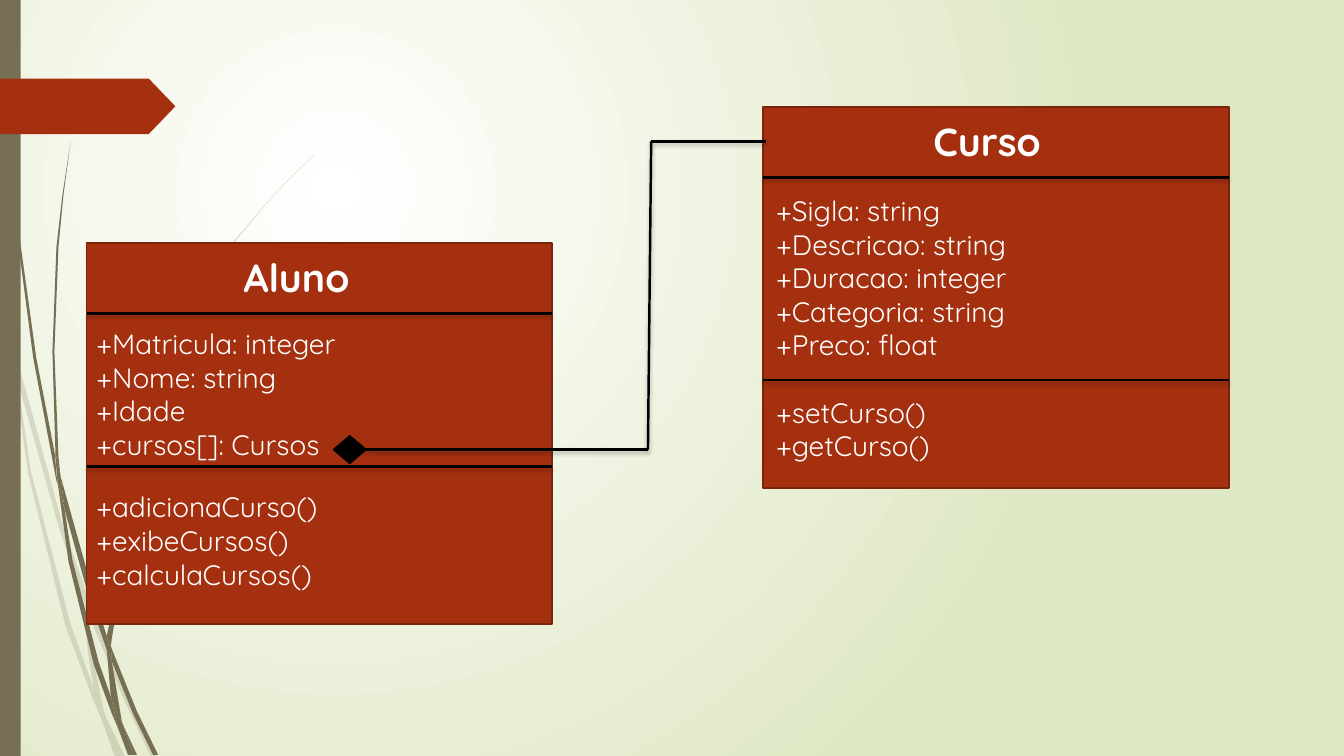
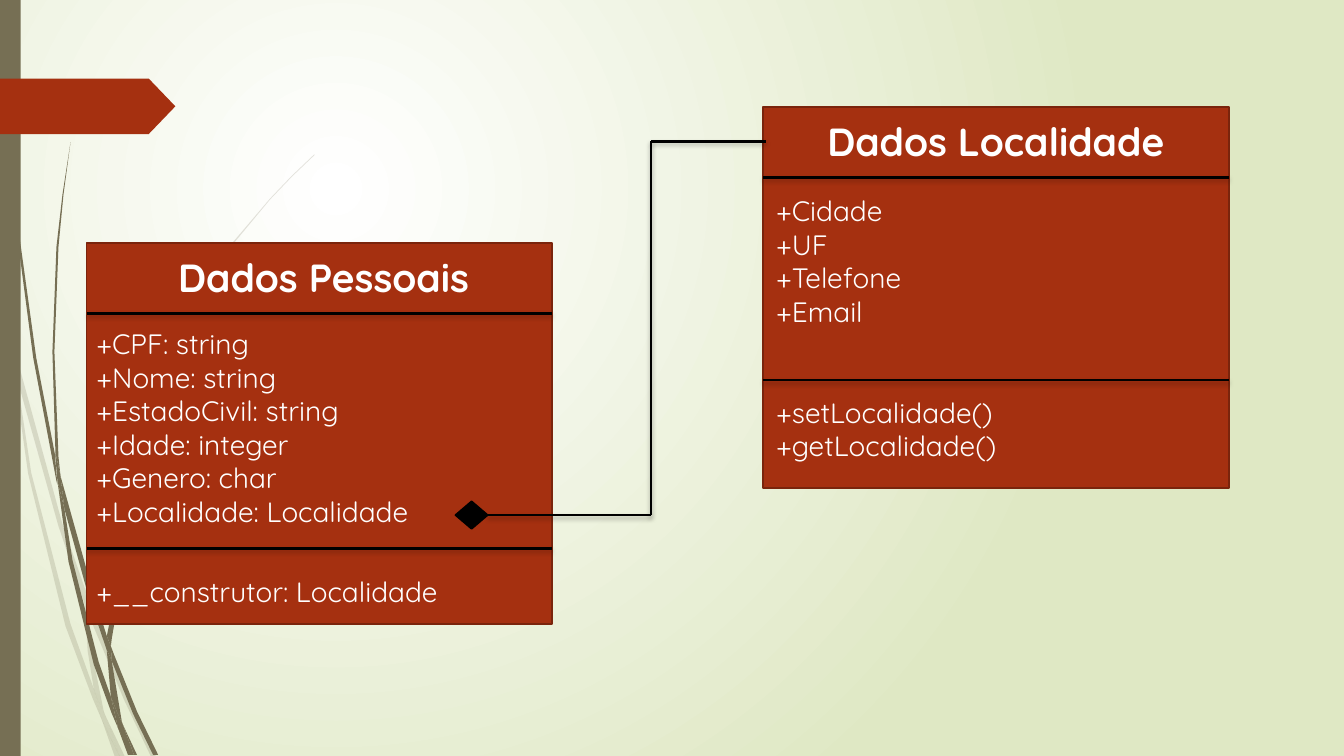
from pptx import Presentation
from pptx.dml.color import RGBColor
from pptx.enum.shapes import MSO_CONNECTOR, MSO_SHAPE
from pptx.oxml import parse_xml
from pptx.oxml.ns import nsdecls, qn
from pptx.util import Cm, Pt

RECTANGLE, PENTAGON, DIAMOND = MSO_SHAPE.RECTANGLE, MSO_SHAPE.PENTAGON, MSO_SHAPE.DIAMOND
STRAIGHT = MSO_CONNECTOR.STRAIGHT

FONT = "Quicksand"
OLIVE, RUST, DARK_RUST = "766F54", "A53010", "7A240C"
BLACK, WHITE, PALE_GREEN = "000000", "FFFFFF", "DFE8C4"

BOX_WIDTH, BOX_HEIGHT = 11.74, 9.6
TITLE_RULE = 1.78
DIAMOND_WIDTH, DIAMOND_HEIGHT = 0.81, 0.69

# Grass outlines, in hundredths of an inch
FAINT_GRASS = [
    [(11, 350), (9, 322), (0, 282), (0, 299), (10, 344)],
    [(58, 522), (84, 599), (85, 586), (62, 520), (14, 345), (17, 376)],
    [(92, 607), (88, 596), (88, 610), (123, 694), (150, 751), (155, 751), (127, 692)],
    [(119, 751), (124, 751), (105, 711)],
    [(93, 683), (70, 619), (31, 469), (17, 376), (11, 350), (28, 470), (65, 621),
     (92, 693), (101, 714), (99, 707)],
    [(84, 599), (87, 646), (93, 683), (96, 692), (105, 711), (103, 706), (91, 646),
     (88, 610), (88, 608)],
    [(88, 584), (110, 462), (160, 349), (229, 245), (268, 198), (290, 175), (312, 154),
     (312, 153), (289, 175), (268, 197), (228, 244), (158, 348), (107, 461), (85, 584),
     (85, 586), (88, 596)],
    [(101, 714), (114, 751), (119, 751)],
    [(88, 608), (88, 610), (88, 596), (85, 586), (84, 599)],
    [(96, 692), (93, 683), (99, 707), (101, 714), (119, 751), (105, 711)],
]
SOLID_GRASS = [
    [(7, 110), (17, 233), (33, 355), (56, 477), (57, 481), (55, 457), (55, 453),
     (36, 355), (19, 232), (8, 109), (5, 48), (4, 0), (3, 0), (4, 48)],
    [(88, 592), (106, 645), (106, 633), (106, 631), (93, 590), (60, 472), (64, 505)],
    [(113, 649), (110, 641), (111, 656), (132, 708), (152, 749), (157, 749), (136, 706)],
    [(110, 691), (98, 657), (72, 556), (64, 505), (57, 477), (68, 557), (93, 659),
     (111, 708), (117, 722), (116, 717)],
    [(60, 472), (58, 453), (54, 349), (58, 245), (63, 193), (70, 141), (62, 193),
     (56, 245), (52, 349), (55, 449)],
    [(133, 749), (136, 749), (122, 719)],
    [(57, 477), (64, 505), (60, 472), (55, 449), (55, 453)],
    [(111, 633), (125, 552), (158, 476), (205, 406), (231, 374), (245, 359), (261, 344),
     (260, 344), (245, 358), (231, 373), (204, 405), (156, 474), (122, 551), (106, 631),
     (110, 641)],
    [(117, 722), (127, 749), (131, 749)],
    [(106, 645), (110, 691), (116, 706), (122, 719), (121, 716), (111, 656), (109, 651)],
    [(106, 645), (109, 651), (111, 656), (110, 641), (106, 631), (106, 633)],
    [(116, 706), (110, 691), (116, 717), (117, 722), (130, 749), (133, 749), (122, 719)],
]

# Class boxes: left, top, text indent, title left, title,
# attributes offset and lines, second rule offset, methods offset and lines.
# Link: points from the diamond's right tip to the other class.
DIAGRAMS = [
    {
        "classes": [
            (2.18, 6.12, 0, 5.89, "Aluno",
             1.98, ["+Matricula: integer", "+Nome: string", "+Idade", "+cursos[]: Cursos"],
             5.64, 6.1, ["+adicionaCurso()", "+exibeCursos()", "+calculaCursos()"]),
            (19.23, 2.69, 0.08, 23.27, "Curso",
             2.06, ["+Sigla: string", "+Descricao: string", "+Duracao: integer",
                    "+Categoria: string", "+Preco: float"],
             6.88, 7.14, ["+setCurso()", "+getCurso()"]),
        ],
        "link": [(9.22, 11.33), (16.33, 11.33), (16.41, 3.56), (19.3, 3.56)],
    },
    {
        "classes": [
            (2.18, 6.12, 0, 4.24, "Dados Pessoais",
             1.98, ["+CPF: string", "+Nome: string", "+EstadoCivil: string",
                    "+Idade: integer", "+Genero: char", "+Localidade: Localidade"],
             7.7, 8.23, ["+__construtor: Localidade"]),
            (19.23, 2.69, 0.08, 20.6, "Dados Localidade",
             2.06, ["+Cidade", "+UF", "+Telefone", "+Email"],
             6.88, 7.14, ["+setLocalidade()", "+getLocalidade()"]),
        ],
        "link": [(12.29, 12.98), (16.41, 12.98), (16.41, 3.56), (19.3, 3.56)],
    },
]


def paint(shape, fill, line=None):
    shape.shadow.inherit = False
    shape.fill.solid()
    shape.fill.fore_color.rgb = RGBColor.from_string(fill)
    if line:
        shape.line.color.rgb = RGBColor.from_string(line)
        shape.line.width = Pt(1.25)
    else:
        shape.line.fill.background()


def add_text(slide, left, top, right, lines, size, bold=False):
    height = len(lines) * size * 0.042 + 0.25
    box = slide.shapes.add_textbox(Cm(left), Cm(top), Cm(right - left), Cm(height))
    frame = box.text_frame
    frame.word_wrap = True
    frame.text = "\n".join(lines)
    for paragraph in frame.paragraphs:
        font = paragraph.runs[0].font
        font.name, font.size, font.bold = FONT, Pt(size), bold
        font.color.rgb = RGBColor.from_string(WHITE)


presentation = Presentation()
presentation.slide_width, presentation.slide_height = Cm(33.87), Cm(19.05)
layout = presentation.slide_layouts[6]
slides = [presentation.slides.add_slide(layout) for _ in DIAGRAMS]

# Shared background: radial gradient on the layout
background = layout.background.fill
background.gradient()
for stop, colour in zip(background.gradient_stops, (WHITE, PALE_GREEN)):
    stop.color.rgb = RGBColor.from_string(colour)
gradient = layout.background._cSld.find(".//" + qn("a:gradFill"))
gradient.remove(gradient.find(qn("a:lin")))
gradient.append(parse_xml(
    f'<a:path {nsdecls("a")} path="circle">'
    '<a:fillToRect l="50000" t="50000" r="100000" b="100000"/></a:path>'))

# Shared decoration: grass, side band and flag, drawn once and moved to the layout
shapes = slides[0].shapes
for outlines, opacity in ((FAINT_GRASS, 20), (SOLID_GRASS, 100)):
    for start, *points in outlines:
        builder = shapes.build_freeform(*start, scale=Cm(2.54) / 100)
        builder.add_line_segments(points)
        blade = builder.convert_to_shape()
        paint(blade, OLIVE)
        if opacity < 100:
            colour = blade._element.spPr.find(".//" + qn("a:srgbClr"))
            colour.append(parse_xml(f'<a:alpha {nsdecls("a")} val="{opacity * 1000}"/>'))
band = shapes.add_shape(RECTANGLE, 0, 0, Cm(0.52), presentation.slide_height)
paint(band, OLIVE)
flag = shapes.add_shape(PENTAGON, 0, Cm(1.98), Cm(4.42), Cm(1.4))
flag.adjustments[0] = 0.48
paint(flag, RUST)
for shape in list(shapes):
    layout.shapes._spTree.append(shape._element)

# Class diagrams
for slide, diagram in zip(slides, DIAGRAMS):
    segments = list(zip(diagram["link"], diagram["link"][1:]))

    for (left, top, indent, title_left, title, attributes_top, attributes,
         method_rule, methods_top, methods) in diagram["classes"]:
        right = left + BOX_WIDTH
        box = slide.shapes.add_shape(
            RECTANGLE, Cm(left), Cm(top), Cm(BOX_WIDTH), Cm(BOX_HEIGHT))
        paint(box, RUST, DARK_RUST)
        add_text(slide, title_left, top + 0.13, right, [title], 28, bold=True)
        add_text(slide, left + indent, top + attributes_top, right, attributes, 20)
        add_text(slide, left + indent, top + methods_top, right, methods, 20)
        for offset in (TITLE_RULE, method_rule):
            segments.append(((left, top + offset), (right, top + offset)))

    # Rules and link
    for start, end in segments:
        line = slide.shapes.add_connector(STRAIGHT, *map(Cm, start + end))
        line.line.color.rgb = RGBColor.from_string(BLACK)
        line.line.width = Pt(1.75)
        line._element.spPr.append(parse_xml(
            f'<a:effectLst {nsdecls("a")}>'
            f'<a:outerShdw blurRad="{Pt(3)}" dist="{Pt(2)}" dir="5400000" rotWithShape="0">'
            f'<a:srgbClr val="{BLACK}"><a:alpha val="25000"/></a:srgbClr>'
            '</a:outerShdw></a:effectLst>'))

    # Composition diamond
    tip_x, tip_y = diagram["link"][0]
    diamond = slide.shapes.add_shape(
        DIAMOND, Cm(tip_x - DIAMOND_WIDTH), Cm(tip_y - DIAMOND_HEIGHT / 2),
        Cm(DIAMOND_WIDTH), Cm(DIAMOND_HEIGHT))
    paint(diamond, BLACK, BLACK)

presentation.save("out.pptx")
